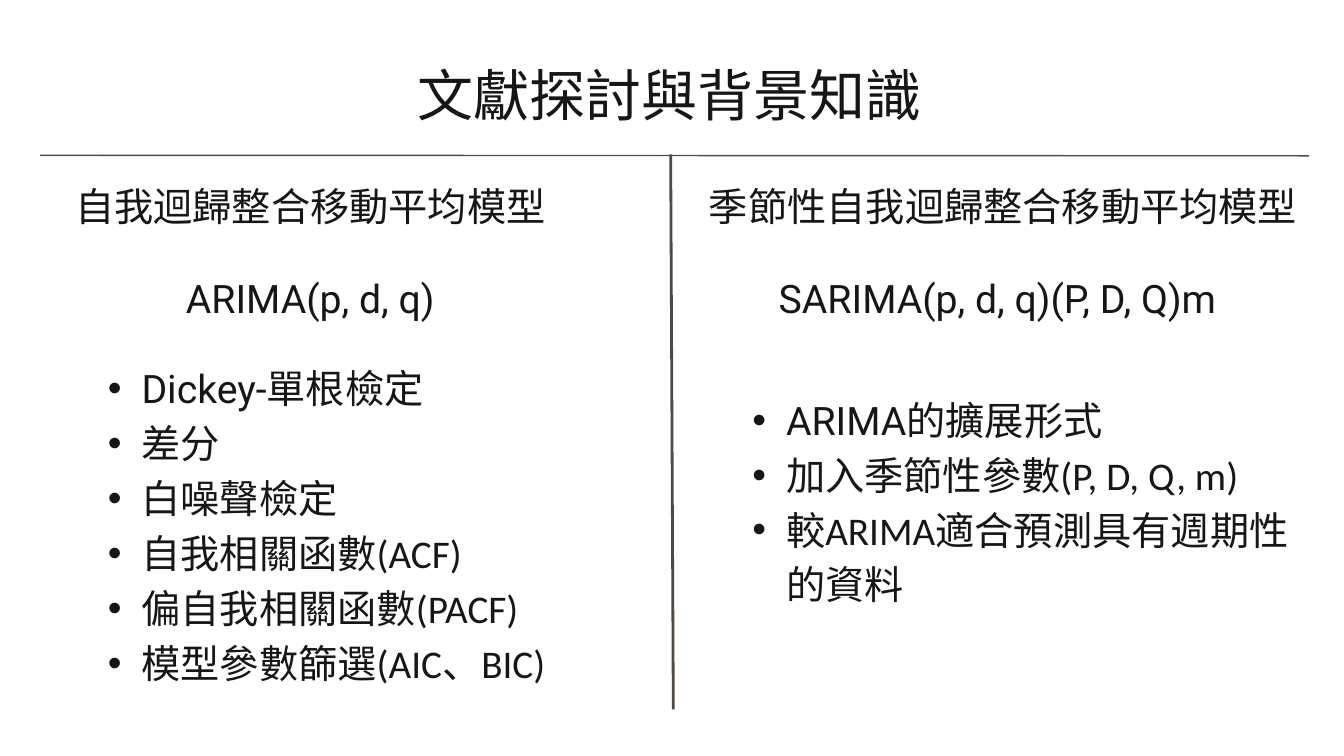
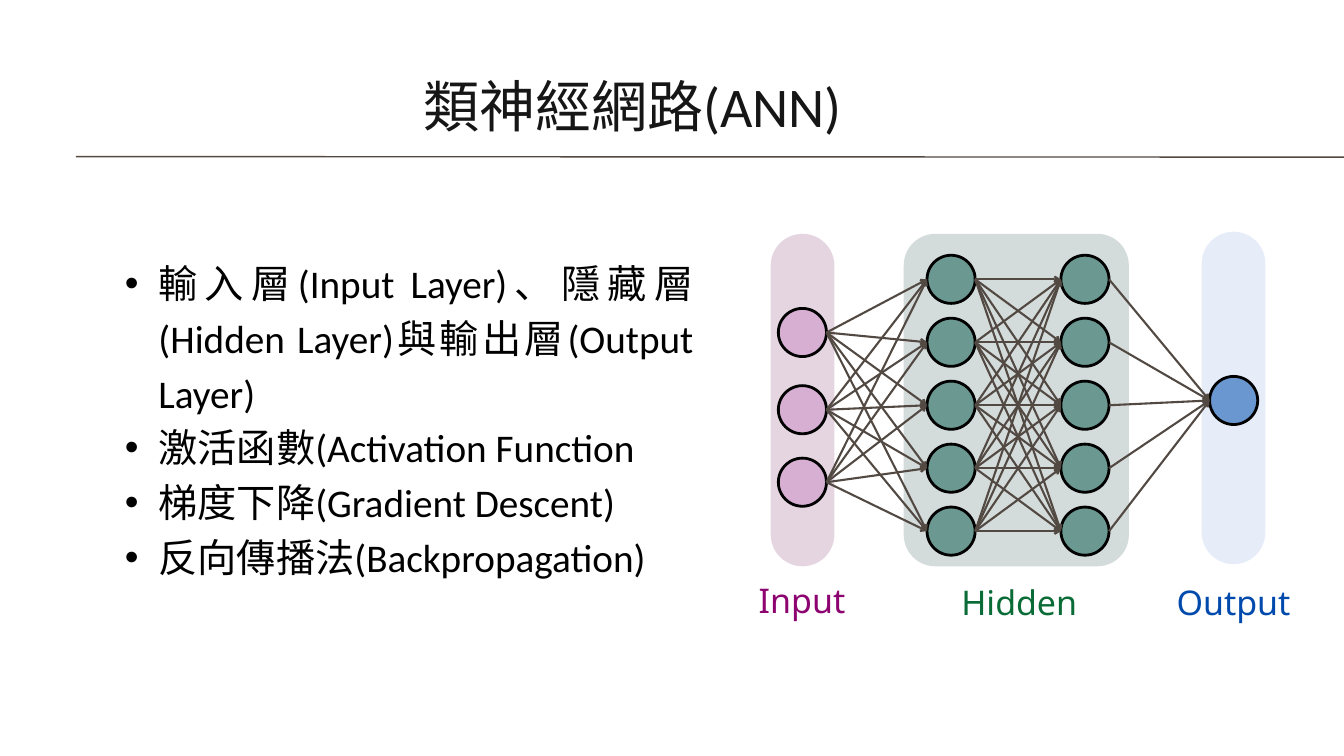
import itertools

import lxml.etree
import pptx
import pptx.dml.color
import pptx.enum.shapes
import pptx.enum.text
import pptx.oxml.ns
import pptx.util

Cm = pptx.util.Cm
Pt = pptx.util.Pt
qn = pptx.oxml.ns.qn
ALIGN = pptx.enum.text.PP_ALIGN
SHAPE = pptx.enum.shapes.MSO_SHAPE

INK = "171616"
BLACK = "000000"
RULE = "524943"
NODE_RADIUS = 0.91


def color(hex_code):
    """Turn a hex string into a colour."""
    return pptx.dml.color.RGBColor.from_string(hex_code)


class Deck:
    """Hold the shared style and the current slide."""

    def __init__(self):
        """Start an empty wide presentation."""
        self.file = pptx.Presentation()
        self.file.slide_width = Cm(50.8)
        self.file.slide_height = Cm(28.58)
        self.slide = None

    def new_slide(self):
        """Add a blank slide and make it current."""
        self.slide = self.file.slides.add_slide(self.file.slide_layouts[6])

    def text(self, box, lines, size=42, font="Calibri", ink=INK, align=ALIGN.CENTER,
             spacing=58.8, bullets=False, first_font=None):
        """Write lines into a text box, one paragraph each."""
        frame = self.slide.shapes.add_textbox(*map(Cm, box)).text_frame
        frame.word_wrap = True
        frame.auto_size = pptx.enum.text.MSO_AUTO_SIZE.SHAPE_TO_FIT_TEXT
        frame.margin_left = frame.margin_right = frame.margin_top = frame.margin_bottom = 0
        for index, line in enumerate(lines):
            paragraph = frame.add_paragraph() if index else frame.paragraphs[0]
            paragraph.text = line
            paragraph.alignment = align
            paragraph.line_spacing = Pt(spacing)
            if bullets:
                self.bullet(paragraph)
            paragraph.font.size = Pt(size)
            paragraph.font.name = first_font if first_font and not index else font
            paragraph.font.color.rgb = color(ink)

    def bullet(self, paragraph):
        """Give a paragraph a round bullet and a hanging indent."""
        paragraph.level = 1
        properties = paragraph._p.get_or_add_pPr()
        properties.set("marL", str(Cm(2.51)))
        properties.set("indent", str(Cm(-1.27)))
        lxml.etree.SubElement(properties, qn("a:buFont")).set("typeface", "Arial")
        lxml.etree.SubElement(properties, qn("a:buChar")).set("char", "•")

    def title(self, box, words):
        """Write the slide title."""
        self.text(box, [words], size=60, align=ALIGN.LEFT, spacing=56.4)

    def bullet_list(self, box, lines, ink=INK, first_font=None):
        """Write a justified bulleted list."""
        self.text(box, lines, ink=ink, align=ALIGN.JUSTIFY, bullets=True, first_font=first_font)

    def line(self, start, end, width=1.5, arrow=False):
        """Draw a straight line, with an arrowhead if asked."""
        connector = self.slide.shapes.add_connector(
            pptx.enum.shapes.MSO_CONNECTOR.STRAIGHT, *map(Cm, (*start, *end)))
        connector.line.color.rgb = color(RULE)
        connector.line.width = Pt(width)
        properties = connector._element.spPr
        if arrow:
            outline = properties.find(qn("a:ln"))
            lxml.etree.SubElement(outline, qn("a:tailEnd")).set("type", "arrow")
        lxml.etree.SubElement(properties, qn("a:effectLst"))

    def shape(self, kind, box, fill):
        """Add a filled preset shape without shadow or outline."""
        shape = self.slide.shapes.add_shape(kind, *map(Cm, box))
        shape.shadow.inherit = False
        shape.fill.solid()
        shape.fill.fore_color.rgb = color(fill)
        shape.line.fill.background()
        return shape

    def panel(self, box, fill, rounding=0.5):
        """Draw the rounded panel behind a layer."""
        self.shape(SHAPE.ROUNDED_RECTANGLE, box, fill).adjustments[0] = rounding

    def node(self, center, fill):
        """Draw one neuron around its centre."""
        x, y = center
        box = (x - NODE_RADIUS, y - NODE_RADIUS, 2 * NODE_RADIUS, 2 * NODE_RADIUS)
        neuron = self.shape(SHAPE.OVAL, box, fill)
        neuron.line.color.rgb = color(BLACK)
        neuron.line.width = Pt(3)

    def connect(self, sources, targets):
        """Join every neuron of one layer to every neuron of the next."""
        for (x1, y1), (x2, y2) in itertools.product(sources, targets):
            self.line((x1 + NODE_RADIUS, y1), (x2 - NODE_RADIUS, y2), 2.25, arrow=True)


def background_slide(deck):
    """Compare the two time series models."""
    deck.new_slide()
    deck.line((1.52, 5.87), (49.48, 5.89))
    deck.title((15.77, 2.82, 19.23, 2.13), "文獻探討與背景知識")
    deck.line((25.45, 26.82), (25.35, 5.84), 3)
    deck.text((2.84, 6.6, 17.78, 2.01), ["自我迴歸整合移動平均模型"])
    deck.text((26.71, 6.6, 22.4, 2.01), ["季節性自我迴歸整合移動平均模型"])
    deck.bullet_list((2.84, 13.49, 19.81, 12.32), [
        "Dickey-單根檢定",
        "差分",
        "白噪聲檢定",
        "自我相關函數(ACF)",
        "偏自我相關函數(PACF)",
        "模型參數篩選(AIC、BIC)",
    ], first_font="Roboto")
    deck.bullet_list((27.2, 14.68, 21.51, 8.2), [
        "ARIMA的擴展形式",
        "加入季節性參數(P, D, Q, m)",
        "較ARIMA適合預測具有週期性的資料",
    ], first_font="Roboto")
    deck.text((6.93, 10.06, 9.6, 2.01), ["ARIMA(p, d, q)"], font="Roboto")
    deck.text((29.13, 10.06, 17.15, 2.01), ["SARIMA(p, d, q)(P, D, Q)m"], font="Roboto")


def network_slide(deck):
    """Explain the neural network and draw its layers."""
    deck.new_slide()
    deck.line((2.87, 5.92), (50.8, 5.94))

    hidden_rows = [10.56 + 2.38 * row for row in range(5)]
    inputs = [(30.33, y) for y in (12.57, 15.49, 18.23)]
    first_hidden = [(35.95, y) for y in hidden_rows]
    second_hidden = [(41.01, y) for y in hidden_rows]
    outputs = [(46.63, 15.14)]

    deck.panel((34.16, 8.84, 8.51, 12.57), "D4DBDB", 0.14)
    deck.panel((29.13, 8.84, 2.41, 12.57), "E4D5E1")
    deck.panel((45.42, 8.76, 2.41, 12.57), "E6ECF8")
    for centers, fill in ((first_hidden, "6B9891"), (inputs, "D6AFD3"),
                          (outputs, "6A97CF"), (second_hidden, "6B9891")):
        for center in centers:
            deck.node(center, fill)
    for sources, targets in itertools.pairwise((inputs, first_hidden, second_hidden, outputs)):
        deck.connect(sources, targets)

    deck.title((16, 3.25, 16.46, 2.13), "類神經網路(ANN)")
    for layer, left, top, width, ink in (("Input", 28.6, 21.64, 3.43, "8D0470"),
                                         ("Hidden", 35.64, 21.74, 5.77, "096B36"),
                                         ("Output", 43.74, 21.74, 5.77, "004AAD")):
        deck.text((left, top, width, 1.73), [layer], 36.4, "Noto Sans", ink, spacing=51)
    deck.bullet_list((3.48, 9.5, 22.73, 12.32), [
        "輸入層(Input Layer)、隱藏層(Hidden Layer)與輸出層(Output Layer)",
        "激活函數(Activation Function",
        "梯度下降(Gradient Descent)",
        "反向傳播法(Backpropagation)",
    ], ink=BLACK)


def main():
    """Build and save the slides."""
    deck = Deck()
    background_slide(deck)
    network_slide(deck)
    deck.file.save("out.pptx")


if __name__ == "__main__":
    main()
